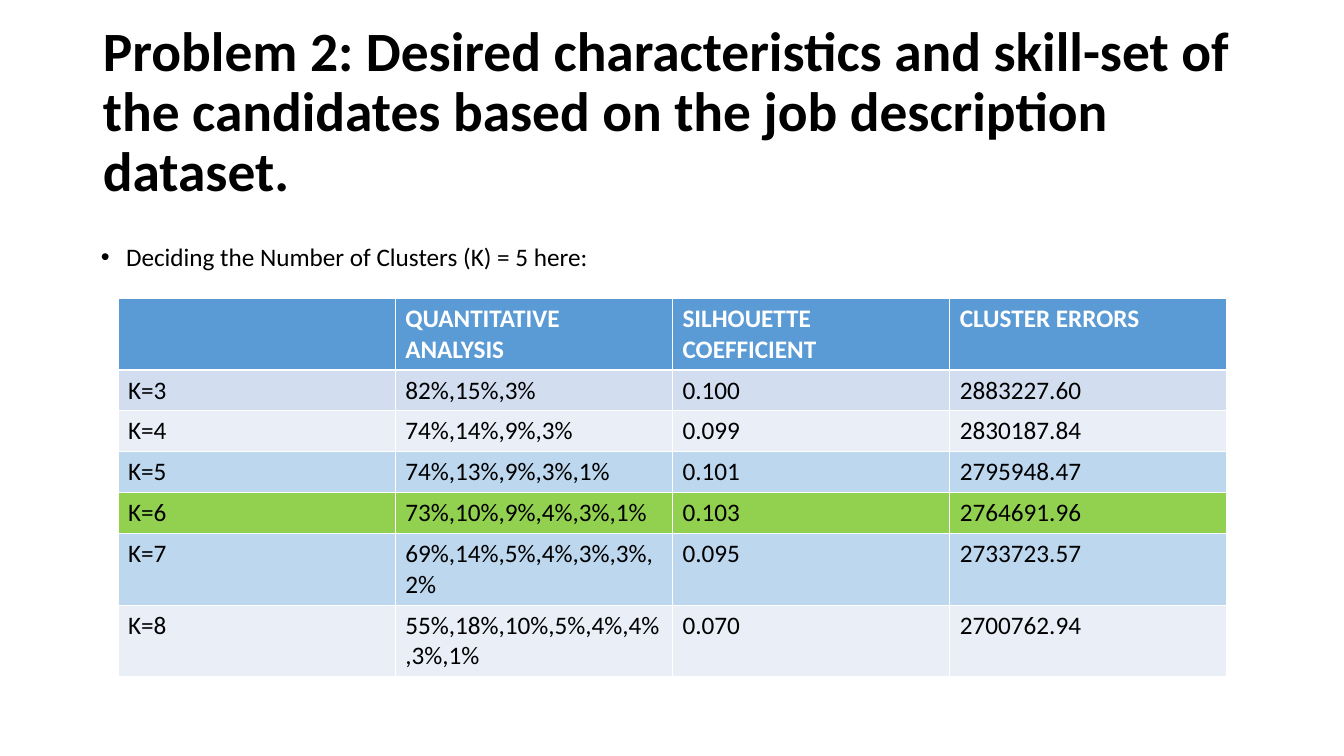
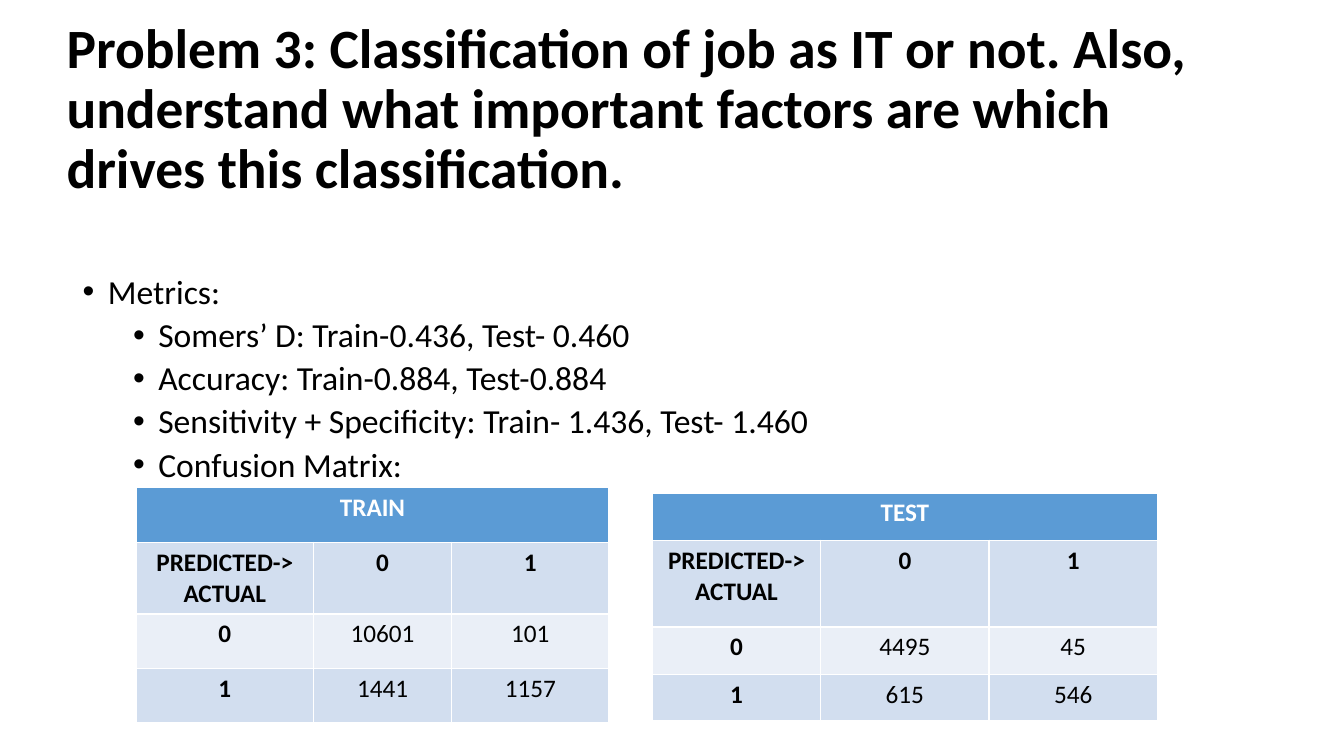
"""Build two slides on job clustering and job classification results."""
from lxml import etree
from pptx import Presentation
from pptx.dml.color import RGBColor
from pptx.enum.text import MSO_ANCHOR, MSO_AUTO_SIZE, PP_ALIGN
from pptx.oxml.ns import qn
from pptx.util import Inches, Pt

LEFT, CENTER = PP_ALIGN.LEFT, PP_ALIGN.CENTER
MIDDLE, TOP = MSO_ANCHOR.MIDDLE, MSO_ANCHOR.TOP
NO_FIT = MSO_AUTO_SIZE.NONE
FONT = "Calibri"
COLORS = {
    "text": "000000", "white": "FFFFFF", "header": "5B9BD5",
    "band": "D2DEEF", "light": "EAEFF7", "near": "BDD7EE", "best": "92D050",
}
INDENT = 0.25
LEVEL_STEP = 0.5

CLUSTER_ROWS = [
    ("header", ["", "QUANTITATIVE ANALYSIS", "SILHOUETTE COEFFICIENT", "CLUSTER ERRORS"]),
    ("band", ["K=3", "82%,15%,3%", "0.100", "2883227.60"]),
    ("light", ["K=4", "74%,14%,9%,3%", "0.099", "2830187.84"]),
    ("near", ["K=5", "74%,13%,9%,3%,1%", "0.101", "2795948.47"]),
    ("best", ["K=6", "73%,10%,9%,4%,3%,1%", "0.103", "2764691.96"]),
    ("near", ["K=7", "69%,14%,5%,4%,3%,3%,2%", "0.095", "2733723.57"]),
    ("light", ["K=8", "55%,18%,10%,5%,4%,4%,3%,1%", "0.070", "2700762.94"]),
]


def confusion_rows(name, counts):
    """Return the filled rows of one confusion matrix."""
    return [
        ("header", [name, "", ""]),
        ("band", ["PREDICTED->\nACTUAL", "0", "1"]),
        ("light", ["0", *counts[0]]),
        ("band", ["1", *counts[1]]),
    ]


SLIDES = [
    {
        "title": "Problem 2: Desired characteristics and skill-set of the candidates "
                 "based on the job description dataset.",
        "title_at": (0.92, 0.4, 11.5, 1.45),
        "body": [(0, "Deciding the Number of Clusters (K) = 5 here:")],
        "body_at": (0.9, 2.38, 11, 5.12),
        "body_size": 18,
        "tables": [
            {"at": (1.17, 2.96), "columns": [2.75] * 4,
             "heights": [0.65] + [0.37] * 4 + [0.5, 0.65], "rows": CLUSTER_ROWS},
        ],
    },
    {
        "title": "Problem 3: Classification of job as IT or not. Also, understand what "
                 "important factors are which drives this classification.",
        "title_at": (0.56, 0.37, 11.5, 1.45),
        "body": [
            (0, "Metrics:"),
            (1, "Somers’ D: Train-0.436, Test- 0.460"),
            (1, "Accuracy: Train-0.884, Test-0.884"),
            (1, "Sensitivity + Specificity: Train- 1.436, Test- 1.460"),
            (1, "Confusion Matrix:"),
        ],
        "body_at": (0.72, 2.68, 11.5, 4.19),
        "body_size": 24,
        "tables": [
            {"at": (1.35, 4.84), "columns": [1.76, 1.37, 1.56], "heights": [0.54] * 4,
             "rows": confusion_rows("TRAIN", [("10601", "101"), ("1441", "1157")]),
             "matrix": True},
            {"at": (6.47, 4.89), "columns": [1.67] * 3, "heights": [0.47, 0.86, 0.47, 0.46],
             "rows": confusion_rows("TEST", [("4495", "45"), ("615", "546")]),
             "matrix": True},
        ],
    },
]


def set_values(target, values):
    """Set each named attribute of the target."""
    for name, value in values.items():
        setattr(target, name, value)


def write_span(para, text, size, color="text", bold=False):
    """Add one formatted run to a paragraph."""
    span = para.add_run()
    span.text = text
    set_values(span.font, {"name": FONT, "size": Pt(size), "bold": bold})
    span.font.color.rgb = RGBColor.from_string(COLORS[color])


def place(box, at, anchor):
    """Move a placeholder and fix its text frame."""
    set_values(box, dict(zip(("left", "top", "width", "height"), map(Inches, at))))
    set_values(box.text_frame, {
        "word_wrap": True, "auto_size": NO_FIT, "vertical_anchor": anchor})


def add_title(page, text, at):
    """Fill the title placeholder."""
    place(page.shapes.title, at, MIDDLE)
    para = page.shapes.title.text_frame.paragraphs[0]
    set_values(para, {"alignment": LEFT, "line_spacing": 0.9})
    write_span(para, text, 39.6, bold=True)


def add_body(page, items, at, size):
    """Fill the body placeholder with a bulleted list."""
    box = page.placeholders[1]
    place(box, at, TOP)
    frame = box.text_frame
    for index, (level, text) in enumerate(items):
        para = frame.add_paragraph() if index else frame.paragraphs[0]
        set_values(para, {"level": level, "line_spacing": 0.9,
                          "space_before": Pt(5 if level else 10)})
        properties = para._p.get_or_add_pPr()
        properties.set("marL", str(Inches(INDENT + level * LEVEL_STEP)))
        properties.set("indent", str(Inches(-INDENT)))
        etree.SubElement(properties, qn("a:buFont"), typeface="Arial")
        etree.SubElement(properties, qn("a:buChar"), char="•")
        write_span(para, text, size)


def add_grid(page, at, columns, heights, rows, matrix=False):
    """Add a table whose rows each have one fill."""
    extent = (sum(columns), sum(heights))
    table = page.shapes.add_table(
        len(rows), len(columns), *map(Inches, at + extent)).table
    table.horz_banding = False
    for column, width in zip(table.columns, columns):
        column.width = Inches(width)
    for row, height in zip(table.rows, heights):
        row.height = Inches(height)
    if matrix:
        table.cell(0, 0).merge(table.cell(0, len(columns) - 1))
    for row_index, (fill, texts) in enumerate(rows):
        for column_index, text in enumerate(texts):
            cell = table.cell(row_index, column_index)
            cell.fill.solid()
            cell.fill.fore_color.rgb = RGBColor.from_string(COLORS[fill])
            header = fill == "header"
            bold = header or matrix and (row_index == 1 or column_index == 0)
            for line_index, line in enumerate(text.split("\n") if text else []):
                frame = cell.text_frame
                para = frame.add_paragraph() if line_index else frame.paragraphs[0]
                para.alignment = CENTER if matrix else LEFT
                write_span(para, line, 18, "white" if header else "text", bold)


def main():
    """Build and save the deck."""
    deck = Presentation()
    set_values(deck, {"slide_width": Inches(13.33), "slide_height": Inches(7.5)})
    for content in SLIDES:
        page = deck.slides.add_slide(deck.slide_layouts[1])
        add_title(page, content["title"], content["title_at"])
        add_body(page, content["body"], content["body_at"], content["body_size"])
        for grid in content["tables"]:
            add_grid(page, **grid)
    deck.save("out.pptx")


if __name__ == "__main__":
    main()
